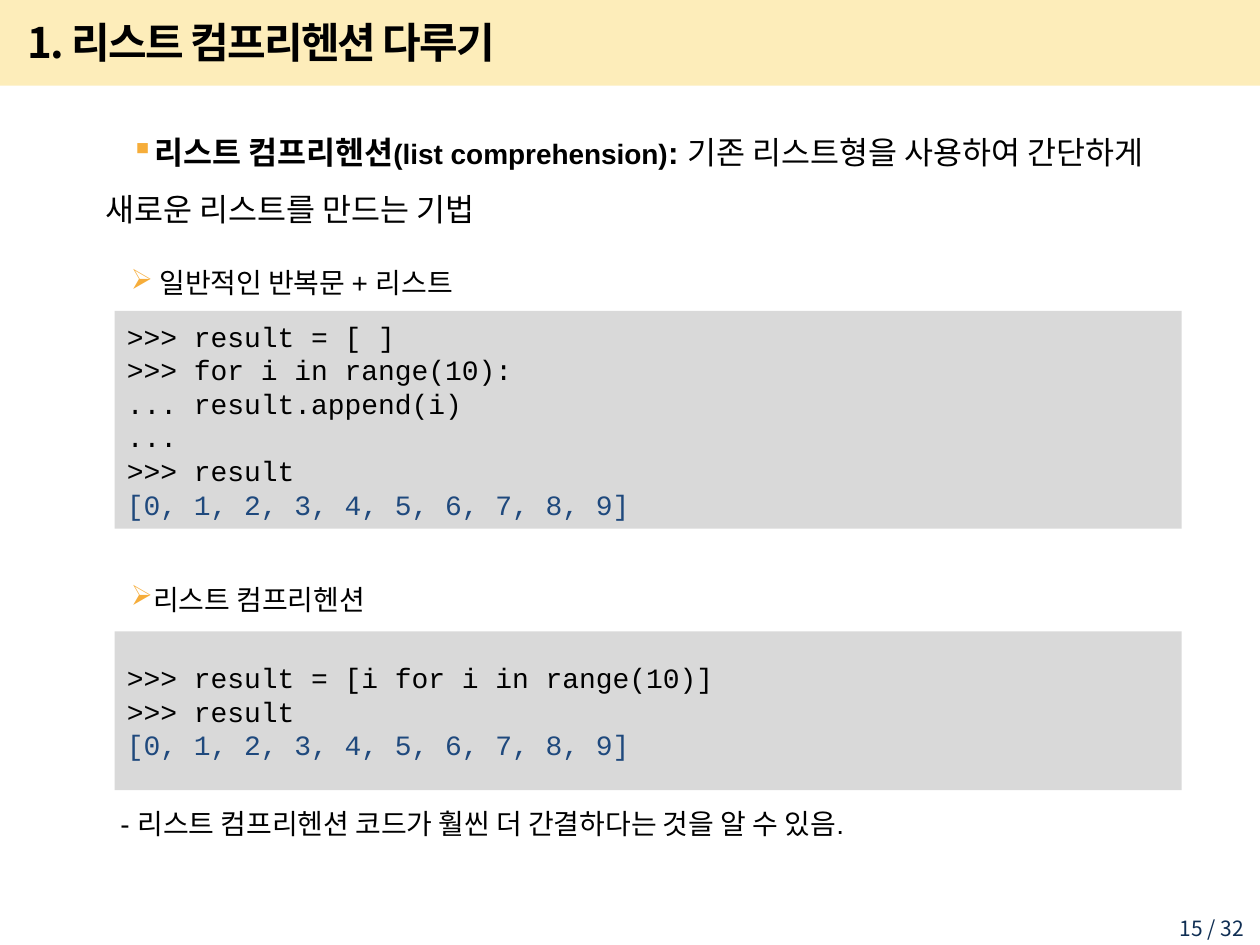
import lxml.etree
import pptx
import pptx.dml.color
import pptx.enum.shapes
import pptx.enum.text
import pptx.oxml.ns
import pptx.util

Cm = pptx.util.Cm
Pt = pptx.util.Pt
RGBColor = pptx.dml.color.RGBColor
ALIGN = pptx.enum.text.PP_ALIGN
ANCHOR = pptx.enum.text.MSO_ANCHOR
qn = pptx.oxml.ns.qn

YELLOW = RGBColor(0xFA, 0xBE, 0x00)
ORANGE = RGBColor(0xF6, 0xAD, 0x3A)
GRAY = RGBColor(0xD9, 0xD9, 0xD9)
BLACK = RGBColor(0, 0, 0)
BLUE = RGBColor(0x1F, 0x49, 0x7D)
NAVY = RGBColor(0x0F, 0x2E, 0x53)
SANS = "Noto Sans CJK KR"
BODY = "Arial"
MONO = "Courier New"


def add_rect(slide, box, color):
    rect = slide.shapes.add_shape(
        pptx.enum.shapes.MSO_SHAPE.RECTANGLE, *map(Cm, box))
    rect.shadow.inherit = False
    rect.fill.solid()
    rect.fill.fore_color.rgb = color
    rect.line.fill.background()
    return rect


def add_text(slide, box):
    frame = slide.shapes.add_textbox(*map(Cm, box)).text_frame
    frame.word_wrap = True
    return frame


def set_font(font, name, size, color=BLACK, bold=False):
    font.name = name
    font.size = Pt(size)
    font.color.rgb = color
    font.bold = bold


def add_title(slide, box, text):
    left, top, width, height = box
    band = add_rect(slide, box, YELLOW)
    tint = band.fill._xPr.find(".//" + qn("a:srgbClr"))
    lxml.etree.SubElement(tint, qn("a:alpha")).set("val", "27000")
    frame = add_text(slide, (left + 0.3, top + 0.18, width - 3.78, height - 0.41))
    frame.vertical_anchor = ANCHOR.MIDDLE
    para = frame.paragraphs[0]
    run = para.add_run()
    run.text = text
    set_font(para.font, SANS, 24, bold=True)
    run.font._element.set("spc", "-100")


def add_point(slide, box, runs, mark=None, first=0.51):
    para = add_text(slide, box).paragraphs[0]
    para.line_spacing = 1.5
    props = para._p.get_or_add_pPr()
    props.set("marL", str(Cm(0.99)))
    props.set("indent", str(Cm(first)))
    if mark:
        tint = lxml.etree.SubElement(props, qn("a:buClr"))
        lxml.etree.SubElement(tint, qn("a:srgbClr")).set("val", str(ORANGE))
        lxml.etree.SubElement(props, qn("a:buChar")).set("char", mark)
    for text, size, bold in runs:
        run = para.add_run()
        run.text = text
        set_font(run.font, BODY, size, bold=bold)


def add_code(slide, box, lines):
    frame = add_rect(slide, box, GRAY).text_frame
    frame.vertical_anchor = ANCHOR.MIDDLE
    for index, line in enumerate(lines):
        para = frame.add_paragraph() if index else frame.paragraphs[0]
        para.text = line
        para.alignment = ALIGN.LEFT
        set_font(para.font, MONO, 16, BLUE if line.startswith("[") else BLACK)


def add_page(slide, box, text):
    para = add_text(slide, box).paragraphs[0]
    para.text = text
    para.alignment = ALIGN.RIGHT
    set_font(para.font, SANS, 12, NAVY)


def main():
    deck = pptx.Presentation()
    deck.slide_width, deck.slide_height = Cm(25.4), Cm(19.05)
    slide = deck.slides.add_slide(deck.slide_layouts[6])
    left, width = 0.89, 23.24
    output = "[0, 1, 2, 3, 4, 5, 6, 7, 8, 9]"

    add_title(slide, (0, 0, 25.4, 1.73), "1. 리스트 컴프리헨션 다루기")
    add_point(slide, (left, 2.18, width, 2.6), [
        ("리스트 컴프리헨션", 18, True),
        ("(list comprehension)", 16, True),
        (": ", 18, True),
        ("기존 리스트형을 사용하여 간단하게 새로운 리스트를 만드는 기법", 18, False),
    ], "▪")
    add_point(slide, (left, 4.9, width, 1.3),
              [(" 일반적인 반복문 + 리스트", 16, False)], "➢")
    add_code(slide, (2.31, 6.27, 21.51, 4.39), [
        ">>> result = [ ]",
        ">>> for i in range(10):",
        "... result.append(i)",
        "...",
        ">>> result",
        output,
    ])
    add_point(slide, (left, 11.28, width, 1.3),
              [("리스트 컴프리헨션", 16, False)], "➢")
    add_code(slide, (2.31, 12.73, 21.51, 3.2), [
        ">>> result = [i for i in range(10)]",
        ">>> result",
        output,
    ])
    add_point(slide, (left, 15.8, width, 1.3),
              [("- 리스트 컴프리헨션 코드가 훨씬 더 간결하다는 것을 알 수 있음.", 16, False)],
              first=0.3)
    add_page(slide, (22.99, 18.34, 2.34, 0.58), "15 / 32")
    deck.save("out.pptx")


if __name__ == "__main__":
    main()
